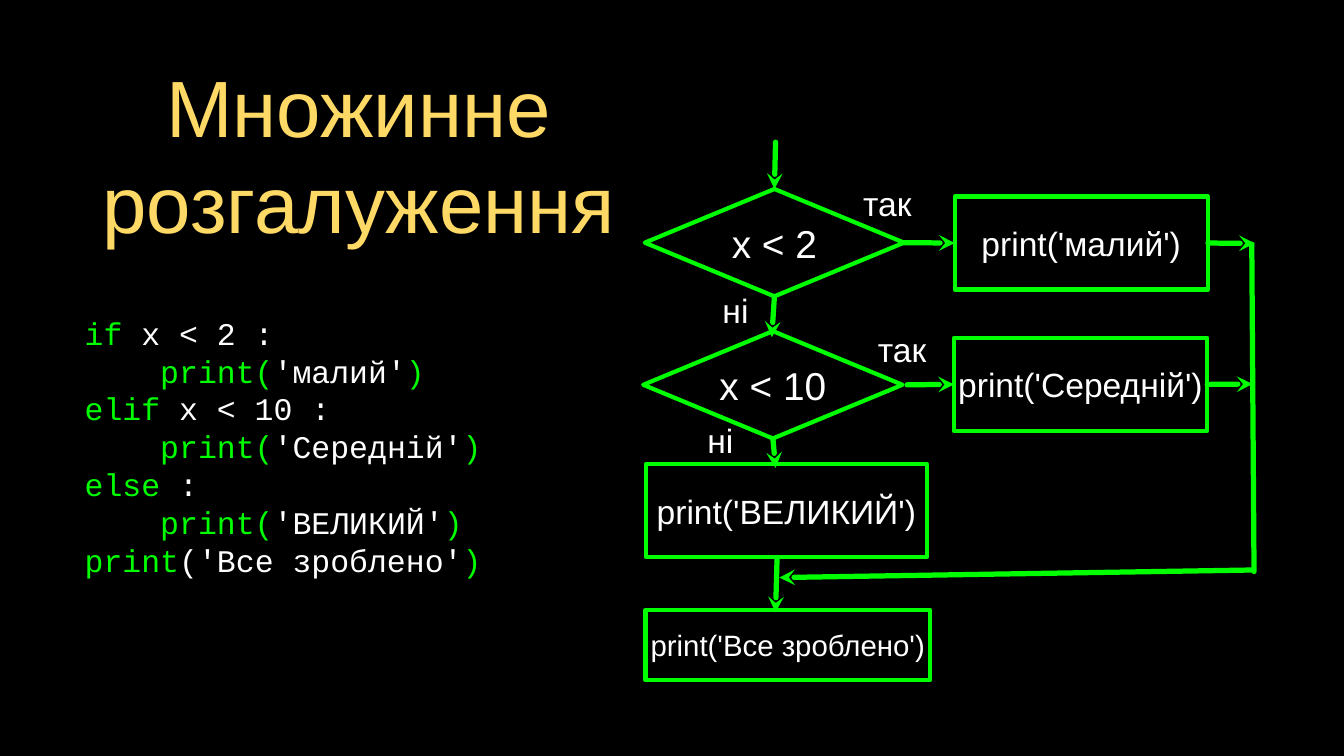
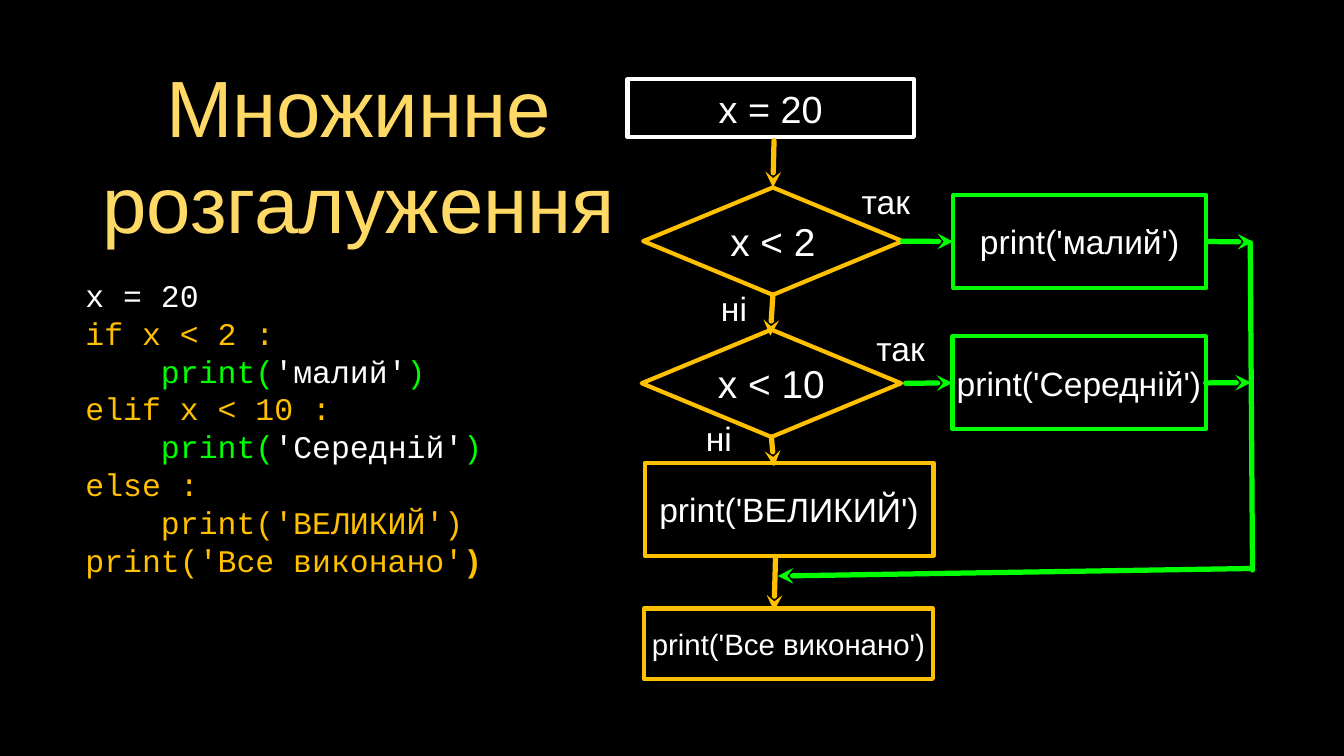
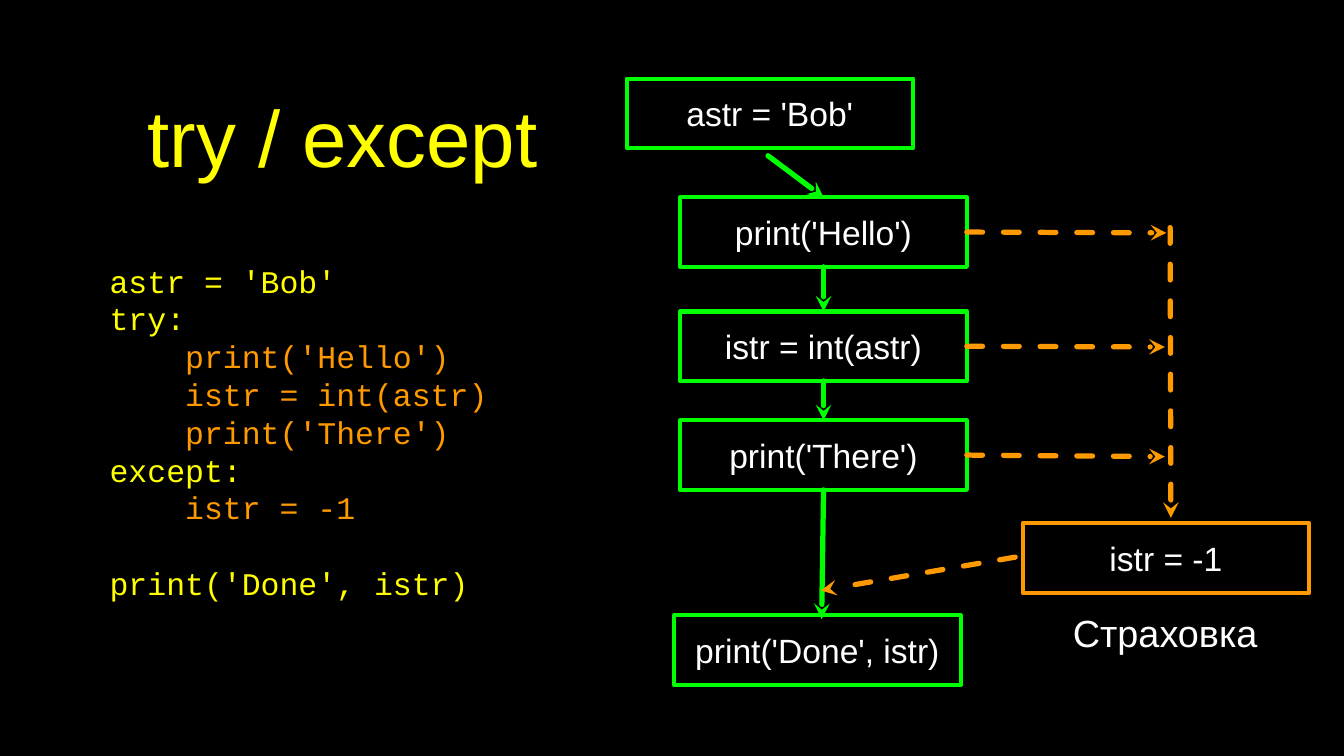
from dataclasses import dataclass
from math import hypot
from typing import NamedTuple

from lxml import etree
from pptx import Presentation
from pptx.dml.color import RGBColor
from pptx.enum.dml import MSO_LINE
from pptx.enum.shapes import MSO_CONNECTOR, MSO_SHAPE
from pptx.enum.text import MSO_ANCHOR, PP_ALIGN
from pptx.oxml.ns import qn
from pptx.util import Inches, Pt

RECT, DIAMOND = MSO_SHAPE.RECTANGLE, MSO_SHAPE.DIAMOND
STRAIGHT = MSO_CONNECTOR.STRAIGHT
DASH = MSO_LINE.DASH
MIDDLE = MSO_ANCHOR.MIDDLE
LEFT, CENTER = PP_ALIGN.LEFT, PP_ALIGN.CENTER


@dataclass(frozen=True)
class Theme:
    black: str = "000000"
    white: str = "FFFFFF"
    green: str = "00FF00"
    amber: str = "FFC000"
    orange: str = "FF9900"
    yellow: str = "FFFF00"
    gold: str = "FFD966"
    sans: str = "Arial"
    mono: str = "Courier New"
    title_size: int = 76
    title_pitch: int = 91
    code_size: int = 30
    code_pitch: int = 36
    condition_size: int = 37
    caption_size: int = 36
    step_size: int = 32
    small_size: int = 28
    outline: int = 4
    arrow: int = 5


THEME = Theme()
JOIN_REACH = 0.06  # inches within which an arrow end joins a side


class Area(NamedTuple):
    left: float
    top: float
    width: float
    height: float

    def inches(self) -> list:
        return [Inches(value) for value in self]

    def side_middles(self) -> list:
        """Middles of the top, left, bottom and right sides."""
        x, y = self.left + self.width / 2, self.top + self.height / 2
        return [(x, self.top), (self.left, y),
                (x, self.top + self.height), (self.left + self.width, y)]

    def moved(self, shift: float) -> "Area":
        return self._replace(left=self.left + shift, top=self.top + shift)


class Step(NamedTuple):
    text: str
    area: Area
    color: str = THEME.green
    size: int = THEME.step_size
    outline: int = RECT


class Label(NamedTuple):
    text: str
    area: Area
    size: int = THEME.step_size


class Flow(NamedTuple):
    start: tuple
    end: tuple
    color: str = THEME.green
    dashed: bool = False
    pointed: bool = True


class Span(NamedTuple):
    text: str
    color: str
    bold: bool = False


def rgb(color: str) -> RGBColor:
    return RGBColor.from_string(color)


def prepare_frame(frame, margin: float = 0) -> None:
    frame.word_wrap = True
    frame.vertical_anchor = MIDDLE
    frame.margin_left = frame.margin_right = Inches(margin)
    frame.margin_top = frame.margin_bottom = Inches(margin)


def write_line(frame, text: str, size: int, color: str):
    line = frame.paragraphs[0]
    line.text = text
    line.alignment = CENTER
    line.font.name = THEME.sans
    line.font.size = Pt(size)
    line.font.color.rgb = rgb(color)
    return line


def add_title(slide, text: str, area: Area, color: str) -> None:
    frame = slide.shapes.add_textbox(*area.inches()).text_frame
    prepare_frame(frame, 0.04)
    heading = write_line(frame, text, THEME.title_size, color)
    heading.line_spacing = Pt(THEME.title_pitch)


def add_label(slide, label: Label) -> None:
    frame = slide.shapes.add_textbox(*label.area.inches()).text_frame
    prepare_frame(frame)
    write_line(frame, label.text, label.size, THEME.white)


def add_code(slide, area: Area, lines: list, gap_before: int = -1) -> None:
    """Write code lines; one line may stand apart by a whole line's height."""
    frame = slide.shapes.add_textbox(*area.inches()).text_frame
    prepare_frame(frame)
    for index, spans in enumerate(lines):
        line = frame.paragraphs[0] if index == 0 else frame.add_paragraph()
        line.alignment = LEFT
        line.line_spacing = Pt(THEME.code_pitch)
        if index == gap_before:
            line.space_before = Pt(THEME.code_pitch)
        line.font.name = THEME.mono
        line.font.size = Pt(THEME.code_size)
        for span in spans:
            run = line.add_run()
            run.text = span.text
            run.font.color.rgb = rgb(span.color)
            if span.bold:
                run.font.bold = True


def add_step(slide, step: Step):
    shape = slide.shapes.add_shape(step.outline, *step.area.inches())
    shape.shadow.inherit = False
    shape.fill.background()
    shape.line.color.rgb = rgb(step.color)
    shape.line.width = Pt(THEME.outline)
    prepare_frame(shape.text_frame)
    write_line(shape.text_frame, step.text, step.size, THEME.white)
    return shape


def nearby_side(point: tuple, drawn: list):
    """Return the (shape, side) whose middle lies at the point, if any."""
    for step, shape in drawn:
        for side, (x, y) in enumerate(step.area.side_middles()):
            if hypot(point[0] - x, point[1] - y) <= JOIN_REACH:
                return shape, side
    return None


def add_flow(slide, flow: Flow, drawn: list) -> None:
    ends = [Inches(value) for value in flow.start + flow.end]
    connector = slide.shapes.add_connector(STRAIGHT, *ends)
    for point, join in ((flow.start, connector.begin_connect),
                        (flow.end, connector.end_connect)):
        target = nearby_side(point, drawn)
        if target:
            join(*target)
    connector.line.color.rgb = rgb(flow.color)
    connector.line.width = Pt(THEME.arrow)
    if flow.dashed:
        connector.line.dash_style = DASH
    properties = connector._element.spPr
    stroke = properties.find(qn("a:ln"))
    stroke.set("cap", "rnd")
    etree.SubElement(stroke, qn("a:round"))
    if flow.pointed:
        etree.SubElement(stroke, qn("a:tailEnd"), type="stealth")
    etree.SubElement(properties, qn("a:effectLst"))


def add_flowchart(slide, steps: list, flows: list, labels: list) -> None:
    drawn = [(step, add_step(slide, step)) for step in steps]
    for flow in flows:
        add_flow(slide, flow, drawn)
    for label in labels:
        add_label(slide, label)


def add_branching(slide, main: str, last_text: str, big_width: float,
                  last_width: float, shift: float = 0,
                  extra_steps: tuple = ()) -> None:
    """Draw the three-way branch; main colours the path when all tests fail."""
    steps = [
        Step("x < 2", Area(8.53, 2.5, 3.43, 1.42), main,
             THEME.condition_size, DIAMOND),
        Step("x < 10", Area(8.51, 4.38, 3.43, 1.42), main,
             THEME.condition_size, DIAMOND),
        Step("print('малий')", Area(12.63, 2.6, 3.35, 1.23)),
        Step("print('Середній')", Area(12.62, 4.47, 3.35, 1.23)),
        Step("print('ВЕЛИКИЙ')", Area(8.55, 6.14, big_width, 1.23), main),
        Step(last_text, Area(8.54, 8.07, last_width, 0.93), main,
             THEME.small_size),
    ]
    flows = [
        Flow((10.26, 1.88), (10.26, 2.54), main),
        Flow((10.21, 3.91), (10.21, 4.46), main),
        Flow((10.27, 5.79), (10.26, 6.19), main),
        Flow((10.28, 7.38), (10.26, 8.1), main),
        Flow((12.01, 3.22), (12.59, 3.22)),
        Flow((12, 5.09), (12.58, 5.09)),
        Flow((16.02, 3.22), (16.6, 3.22)),
        Flow((15.99, 5.08), (16.57, 5.08)),
        Flow((16.56, 3.23), (16.59, 7.56), pointed=False),
        Flow((16.57, 7.54), (10.31, 7.64)),
    ]
    labels = [
        Label("так", Area(11.36, 2.41, 0.76, 0.54)),
        Label("так", Area(11.51, 4.35, 0.85, 0.54)),
        Label("ні", Area(9.47, 3.83, 0.52, 0.54)),
        Label("ні", Area(9.27, 5.55, 0.52, 0.54)),
    ]
    add_flowchart(
        slide,
        [step._replace(area=step.area.moved(shift)) for step in steps]
        + list(extra_steps),
        [flow._replace(start=tuple(v + shift for v in flow.start),
                       end=tuple(v + shift for v in flow.end))
         for flow in flows],
        [label._replace(area=label.area.moved(shift)) for label in labels])


def print_line(word: str) -> list:
    return [Span("    print(", THEME.green), Span(f"'{word}'", THEME.white),
            Span(")", THEME.green)]


def keyword_line(keyword: str, rest: str) -> list:
    return [Span(keyword, THEME.green), Span(rest, THEME.white)]


def plain_lines(color: str, *texts: str) -> list:
    return [[Span(text, color)] for text in texts]


def new_slide(deck):
    slide = deck.slides.add_slide(deck.slide_layouts[6])
    slide.background.fill.solid()
    slide.background.fill.fore_color.rgb = rgb(THEME.black)
    return slide


BRANCH_TITLE = ("Множинне розгалуження", Area(1.26, 0.82, 6.97, 2.42), THEME.gold)


def build_branch_slide(deck) -> None:
    slide = new_slide(deck)
    add_title(slide, *BRANCH_TITLE)
    add_code(slide, Area(1.12, 3.46, 5.58, 4.88), [
        keyword_line("if", " x < 2 :"),
        print_line("малий"),
        keyword_line("elif", " x < 10 :"),
        print_line("Середній"),
        keyword_line("else", " :"),
        print_line("ВЕЛИКИЙ"),
        keyword_line("print", "('Все зроблено'") + [Span(")", THEME.green)],
    ])
    add_branching(slide, THEME.green, "print('Все зроблено')", 3.71, 3.76)


def build_traced_slide(deck) -> None:
    """Same branch with the path taken for x = 20 picked out."""
    slide = new_slide(deck)
    add_title(slide, *BRANCH_TITLE)
    add_code(slide, Area(1.13, 3.21, 5.58, 4.88), [
        *plain_lines(THEME.white, "x = 20"),
        *plain_lines(THEME.amber, "if x < 2 :"),
        print_line("малий"),
        *plain_lines(THEME.amber, "elif x < 10 :"),
        print_line("Середній"),
        *plain_lines(THEME.amber, "else :", "    print('ВЕЛИКИЙ')"),
        [Span("print('Все виконано'", THEME.amber),
         Span(")", THEME.amber, bold=True)],
    ])
    assignment = Step("x = 20", Area(8.3, 1.05, 3.79, 0.76), THEME.white,
                      THEME.caption_size)
    add_branching(slide, THEME.amber, "print('Все виконано')", 3.82, 3.82,
                  shift=-0.02, extra_steps=(assignment,))


def build_except_slide(deck) -> None:
    slide = new_slide(deck)
    add_title(slide, "try / except", Area(1.26, 0.82, 6.54, 1.96), THEME.yellow)
    add_code(slide, Area(1.45, 3.11, 5.66, 5.2), [
        *plain_lines(THEME.yellow, "astr = 'Bob'", "try:"),
        *plain_lines(THEME.orange, "    print('Hello')",
                     "    istr = int(astr)", "    print('There')"),
        *plain_lines(THEME.yellow, "except:"),
        *plain_lines(THEME.orange, "    istr = -1"),
        *plain_lines(THEME.yellow, "print('Done', istr)"),
    ], gap_before=7)

    places = [
        ("astr = 'Bob'", 8.29, 1.04, THEME.green),
        ("print('Hello')", 9, 2.61, THEME.green),
        ("istr = int(astr)", 9, 4.12, THEME.green),
        ("print('There')", 9, 5.56, THEME.green),
        ("print('Done', istr)", 8.92, 8.14, THEME.green),
        ("istr = -1", 13.53, 6.92, THEME.orange),
    ]
    steps = [Step(text, Area(left, top, 3.79, 0.92), color)
             for text, left, top, color in places]
    normal = [
        Flow((10.16, 2.06), (10.9, 2.59)),
        Flow((10.88, 3.53), (10.9, 4.12)),
        Flow((10.9, 5.05), (10.88, 5.53)),
        Flow((10.88, 6.5), (10.87, 8.19)),
    ]
    rescue = [Flow(start, end, THEME.orange, dashed=True) for start, end in (
        ((12.78, 3.06), (15.43, 3.08)),
        ((12.78, 4.57), (15.41, 4.59)),
        ((12.78, 6), (15.41, 6.04)),
        ((15.48, 3.01), (15.49, 6.85)),
        ((13.43, 7.37), (10.86, 7.81)),
    )]
    add_flowchart(slide, steps, normal + rescue, [
        Label("Страховка", Area(14.13, 8.03, 2.57, 0.68), THEME.caption_size)])


def main() -> None:
    deck = Presentation()
    deck.slide_width, deck.slide_height = Inches(17.78), Inches(10)
    build_branch_slide(deck)
    build_traced_slide(deck)
    build_except_slide(deck)
    deck.save("out.pptx")


if __name__ == "__main__":
    main()
